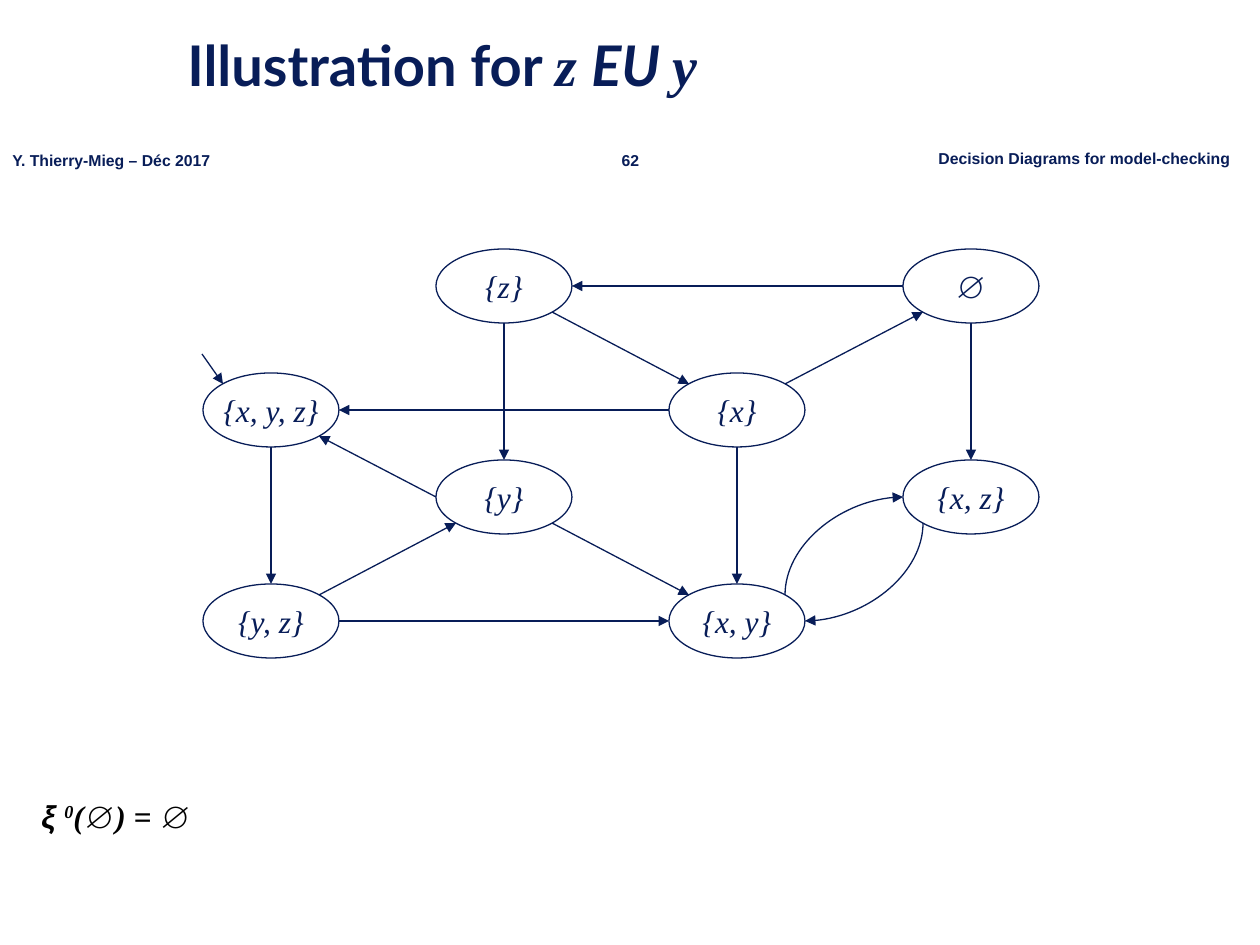
"""Build a slide showing a labelled state graph for an EU formula."""
from dataclasses import dataclass
from math import sqrt

from lxml.etree import SubElement
from pptx import Presentation
from pptx.dml.color import RGBColor as Rgb
from pptx.enum.shapes import MSO_CONNECTOR as Link, MSO_SHAPE as Shape
from pptx.enum.text import MSO_ANCHOR as Anchor, PP_ALIGN as Align
from pptx.oxml.ns import qn
from pptx.util import Emu, Pt

SCALE = 914400 / 126


@dataclass(frozen=True)
class Theme:
    navy: str = "081D58"
    black: str = "000000"
    white: str = "FFFFFF"
    sans: str = "Arial"
    serif: str = "Times New Roman"
    head: str = "Lato"
    title: int = 32
    body: int = 18
    foot: int = 9
    line: float = 0.75


@dataclass(frozen=True)
class Node:
    label: str
    col: int
    row: int

    def site(self, name: str) -> tuple[int, int]:
        """Return the point on the rim at a compass direction."""
        x = ("e" in name) - ("w" in name)
        y = ("s" in name) - ("n" in name)
        k = 1 / sqrt(2) if x and y else 1
        return (round(COLS[self.col] + x * k * WIDE / 2),
                round(ROWS[self.row] + y * k * HIGH / 2))


@dataclass(frozen=True)
class Edge:
    start: str
    leave: str
    end: str
    enter: str
    curve: bool = False


@dataclass(frozen=True)
class Note:
    text: str
    left: int
    top: int
    width: int
    align: Align = Align.LEFT


THEME = Theme()
WIDE, HIGH = 136, 74
COLS = [271 + 700 * i // 3 for i in range(4)]
ROWS = [286, 410, 497, 621]
NODES = {
    "xyz": Node("{x, y, z}", 0, 1),
    "yz": Node("{y, z}", 0, 3),
    "z": Node("{z}", 1, 0),
    "y": Node("{y}", 1, 2),
    "none": Node("∅", 3, 0),
    "xz": Node("{x, z}", 3, 2),
    "x": Node("{x}", 2, 1),
    "xy": Node("{x, y}", 2, 3),
}
EDGES = [
    Edge("xyz", "s", "yz", "n"),
    Edge("yz", "ne", "y", "sw"),
    Edge("yz", "e", "xy", "w"),
    Edge("y", "w", "xyz", "se"),
    Edge("y", "se", "xy", "nw"),
    Edge("x", "s", "xy", "n"),
    Edge("x", "w", "xyz", "e"),
    Edge("x", "ne", "none", "sw"),
    Edge("none", "s", "xz", "n"),
    Edge("none", "w", "z", "e"),
    Edge("z", "s", "y", "n"),
    Edge("z", "se", "x", "nw"),
    Edge("xy", "ne", "xz", "w", True),
    Edge("xz", "sw", "xy", "e", True),
]
NOTES = [
    Note("62", 604, 145, 53, Align.CENTER),
    Note("Y. Thierry-Mieg – Déc 2017", 0, 145, 227),
    Note("Decision Diagrams for model-checking", 926, 143, 319),
]


def px(*vals: float) -> list[Emu]:
    """Turn pixel lengths into EMU."""
    return [Emu(round(v * SCALE)) for v in vals]


def put(para, text: str, *, font: str = THEME.serif, size: int = THEME.body,
        color: str = THEME.navy, bold: bool = False, italic: bool = False,
        base: int = 0) -> None:
    """Add one formatted run to a paragraph."""
    run = para.add_run()
    run.text = text
    face = run.font
    face.name, face.size = font, Pt(size)
    face.bold, face.italic = bold, italic
    face.color.rgb = Rgb.from_string(color)
    if base:
        run._r.get_or_add_rPr().set("baseline", str(base * 1000))


def add_box(slide, left: int, top: int, width: int, high: int,
            wrap: bool = True, anchor: Anchor = Anchor.TOP):
    """Add a text box and return its first paragraph."""
    frame = slide.shapes.add_textbox(*px(left, top, width, high)).text_frame
    frame.word_wrap, frame.vertical_anchor = wrap, anchor
    return frame.paragraphs[0]


def add_note(slide, note: Note) -> None:
    """Add one small line of the running header."""
    para = add_box(slide, note.left, note.top, note.width, 31, wrap=False)
    para.alignment = note.align
    put(para, note.text, font=THEME.sans, size=THEME.foot, bold=True)


def add_title(slide) -> None:
    """Add the title."""
    para = add_box(slide, 175, 0, 1085, 136, anchor=Anchor.MIDDLE)
    para.line_spacing = 0.9
    for text, font, slant in [
        ("Illustration for ", THEME.head, False), ("z ", THEME.serif, True),
        ("EU ", THEME.head, True), ("y", THEME.serif, True),
    ]:
        put(para, text, font=font, size=THEME.title, bold=True, italic=slant)


def add_step(slide) -> None:
    """Add the fixpoint step below the graph."""
    para = add_box(slide, 29, 795, 1135, 87)
    para.line_spacing, para.space_before = 0.9, Pt(5.4)
    for text, font, base in [("ξ ", THEME.sans, 0), ("0", THEME.serif, 30),
                             ("(∅) = ∅", THEME.serif, 0)]:
        put(para, text, font=font, color=THEME.black, bold=True,
            italic=True, base=base)


def add_node(slide, node: Node) -> None:
    """Add one state as a labelled ellipse."""
    left, top = COLS[node.col] - WIDE / 2, ROWS[node.row] - HIGH / 2
    oval = slide.shapes.add_shape(Shape.OVAL, *px(left, top, WIDE, HIGH))
    oval.shadow.inherit = False
    oval.fill.solid()
    oval.fill.fore_color.rgb = Rgb.from_string(THEME.white)
    oval.line.color.rgb = Rgb.from_string(THEME.navy)
    oval.line.width = Pt(THEME.line)
    frame = oval.text_frame
    frame.word_wrap, frame.vertical_anchor = False, Anchor.MIDDLE
    para = frame.paragraphs[0]
    para.alignment = Align.CENTER
    put(para, node.label, italic=True)


def add_arrow(slide, start: tuple[int, int], end: tuple[int, int],
              curve: bool = False) -> None:
    """Add a straight arrow, or a quarter bend that leaves vertically."""
    (ax, ay), (bx, by) = start, end
    if curve:
        mx, my = (ax + bx) / 2, (ay + by) / 2
        dx, dy = abs(by - ay) / 2, abs(bx - ax) / 2
        ends = px(mx - dx, my - dy, mx + dx, my + dy)
    else:
        ends = px(ax, ay, bx, by)
    kind = Link.CURVE if curve else Link.STRAIGHT
    link = slide.shapes.add_connector(kind, *ends)
    link.line.color.rgb = Rgb.from_string(THEME.navy)
    link.line.width = Pt(THEME.line)
    props = link._element.spPr
    SubElement(props.find(qn("a:ln")), qn("a:tailEnd"), type="triangle")
    SubElement(props, qn("a:effectLst"))
    if curve:
        turn = 270 if by < ay else 90
        props.find(qn("a:xfrm")).set("rot", str(turn * 60000))
        props.find(qn("a:prstGeom")).set("prst", "curvedConnector2")


def main() -> None:
    """Draw the slide and save it."""
    deck = Presentation()
    deck.slide_width, deck.slide_height = px(1260, 945)
    slide = deck.slides.add_slide(deck.slide_layouts[6])
    for note in NOTES:
        add_note(slide, note)
    add_title(slide)
    add_step(slide)
    for node in NODES.values():
        add_node(slide, node)
    for edge in EDGES:
        add_arrow(slide, NODES[edge.start].site(edge.leave),
                  NODES[edge.end].site(edge.enter), edge.curve)
    add_arrow(slide, (202, 354), NODES["xyz"].site("nw"))
    deck.save("out.pptx")


if __name__ == "__main__":
    main()
